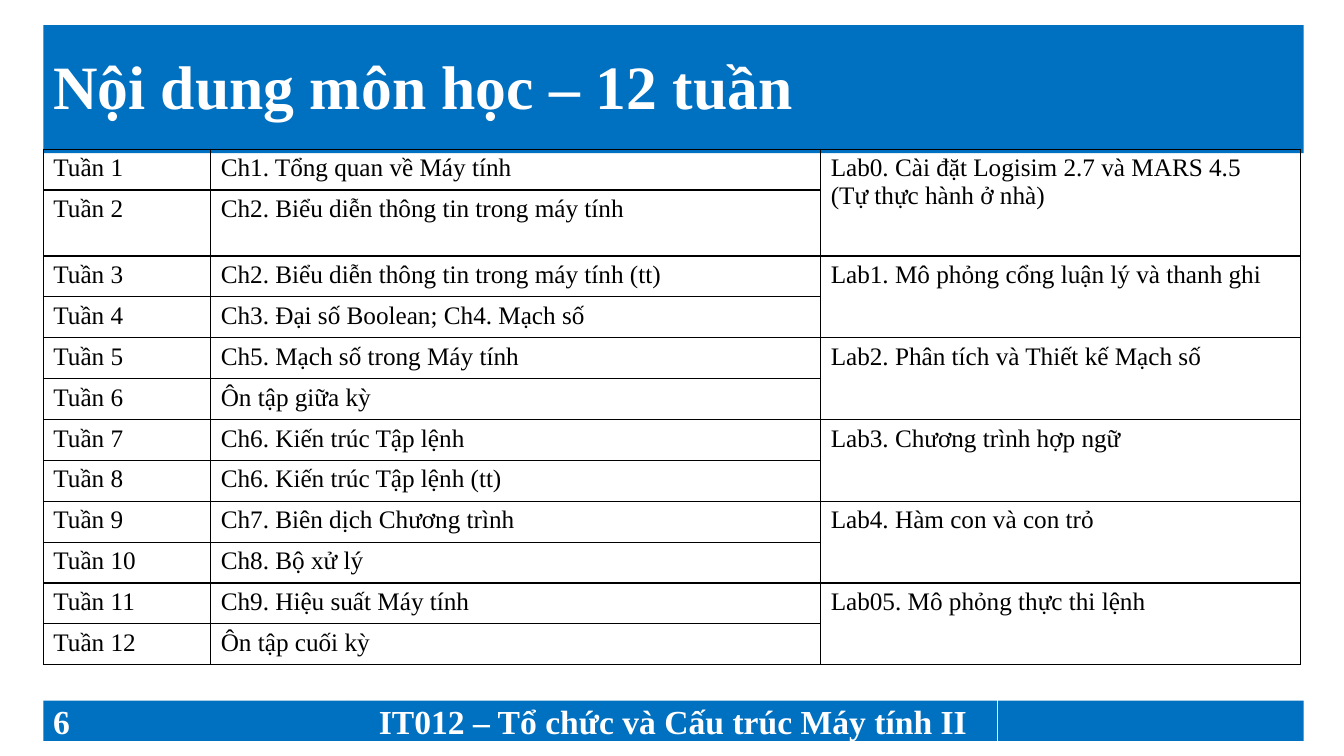
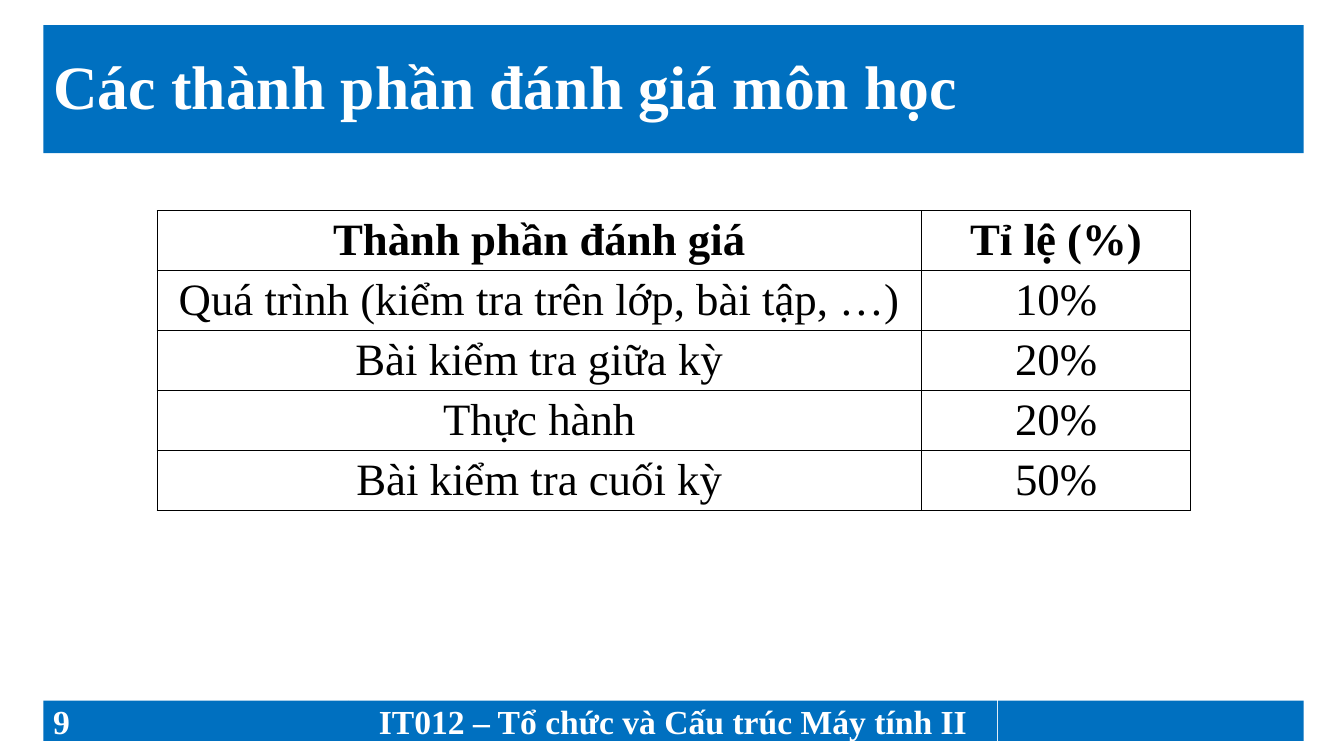
import pptx
import pptx.dml.color
import pptx.enum.shapes
import pptx.enum.text
import pptx.oxml
import pptx.oxml.ns
import pptx.util

BLUE = pptx.dml.color.RGBColor(0x00, 0x70, 0xC0)
WHITE = pptx.dml.color.RGBColor(0xFF, 0xFF, 0xFF)
BLACK = pptx.dml.color.RGBColor(0x00, 0x00, 0x00)
FONT = "Times New Roman"
LEFT = pptx.enum.text.PP_ALIGN.LEFT
CENTER = pptx.enum.text.PP_ALIGN.CENTER
Inches = pptx.util.Inches

# Shared frame, in inches
SLIDE_WIDTH, SLIDE_HEIGHT = 13.33, 7.5
MARGIN, BAND_WIDTH = 0.43, 12.5
TITLE_TOP, TITLE_HEIGHT = 0.25, 1.27
FOOTER_TOP, FOOTER_HEIGHT = 6.95, 0.4
SIDE_WIDTH, MIDDLE_WIDTH = 3.03, 6.43
COURSE = "IT012 – Tổ chức và Cấu trúc Máy tính II"

BORDER = (
    '<a:{} %s w="12700"><a:solidFill><a:srgbClr val="{}"/></a:solidFill></a:{}>'
    % pptx.oxml.ns.nsdecls("a")
)


def add_band(slide, left, top, width, height, text="", size=24, alignment=LEFT):
    band = slide.shapes.add_shape(
        pptx.enum.shapes.MSO_SHAPE.RECTANGLE,
        Inches(left), Inches(top), Inches(width), Inches(height))
    band.shadow.inherit = False
    band.fill.solid()
    band.fill.fore_color.rgb = BLUE
    band.line.fill.background()
    band.text_frame.vertical_anchor = pptx.enum.text.MSO_ANCHOR.MIDDLE
    paragraph = band.text_frame.paragraphs[0]
    paragraph.alignment = alignment
    if text:
        paragraph.text = text
        paragraph.font.name = FONT
        paragraph.font.size = pptx.util.Pt(size)
        paragraph.font.bold = True
        paragraph.font.color.rgb = WHITE
    return band


def add_grid(slide, left, top, widths, height, rows, size, alignment, bold_rows=0):
    table = slide.shapes.add_table(
        len(rows), len(widths),
        Inches(left), Inches(top), Inches(sum(widths)), Inches(height)).table
    table.first_row = False
    table.horz_banding = False
    for column, width in zip(table.columns, widths):
        column.width = Inches(width)
    for row_index, row in enumerate(rows):
        for column_index, text in enumerate(row):
            cell = table.cell(row_index, column_index)
            properties = cell._tc.get_or_add_tcPr()
            for side in ("lnL", "lnR", "lnT", "lnB"):
                properties.append(pptx.oxml.parse_xml(BORDER.format(side, BLACK, side)))
            cell.fill.background()
            cell.text = text
            for paragraph in cell.text_frame.paragraphs:
                paragraph.alignment = alignment
                paragraph.font.name = FONT
                paragraph.font.size = pptx.util.Pt(size)
                paragraph.font.bold = row_index < bold_rows
                paragraph.font.color.rgb = BLACK
    return table


presentation = pptx.Presentation()
presentation.slide_width = Inches(SLIDE_WIDTH)
presentation.slide_height = Inches(SLIDE_HEIGHT)

# Title band and three-part footer on every slide
slides = []
for number, title in (("6", "Nội dung môn học – 12 tuần"),
                      ("9", "Các thành phần đánh giá môn học")):
    slide = presentation.slides.add_slide(presentation.slide_layouts[6])
    title_band = add_band(slide, MARGIN, TITLE_TOP, BAND_WIDTH, TITLE_HEIGHT, title, 44)
    title_band.text_frame.paragraphs[0].line_spacing = 0.9
    add_band(slide, MARGIN, FOOTER_TOP, SIDE_WIDTH, FOOTER_HEIGHT, number)
    add_band(slide, MARGIN + SIDE_WIDTH, FOOTER_TOP, MIDDLE_WIDTH, FOOTER_HEIGHT,
             COURSE, alignment=CENTER)
    add_band(slide, MARGIN + BAND_WIDTH - SIDE_WIDTH, FOOTER_TOP, SIDE_WIDTH, FOOTER_HEIGHT)
    slides.append(slide)
schedule_slide, grading_slide = slides

# Weekly schedule: one topic a week, one lab every two weeks
topics = [
    "Ch1. Tổng quan về Máy tính",
    "Ch2. Biểu diễn thông tin trong máy tính",
    "Ch2. Biểu diễn thông tin trong máy tính (tt)",
    "Ch3. Đại số Boolean; Ch4. Mạch số",
    "Ch5. Mạch số trong Máy tính",
    "Ôn tập giữa kỳ",
    "Ch6. Kiến trúc Tập lệnh",
    "Ch6. Kiến trúc Tập lệnh (tt)",
    "Ch7. Biên dịch Chương trình",
    "Ch8. Bộ xử lý",
    "Ch9. Hiệu suất Máy tính",
    "Ôn tập cuối kỳ",
]
labs = [
    "Lab0. Cài đặt Logisim 2.7 và MARS 4.5\n(Tự thực hành ở nhà)",
    "Lab1. Mô phỏng cổng luận lý và thanh ghi",
    "Lab2. Phân tích và Thiết kế Mạch số",
    "Lab3. Chương trình hợp ngữ",
    "Lab4. Hàm con và con trỏ",
    "Lab05. Mô phỏng thực thi lệnh",
]
weeks = [(f"Tuần {index + 1}", topic, "" if index % 2 else labs[index // 2])
         for index, topic in enumerate(topics)]
schedule = add_grid(schedule_slide, MARGIN, 1.48, (1.66, 6.05, 4.76), 4.87, weeks, 18, LEFT)
for first in range(0, len(weeks), 2):
    schedule.cell(first, 2).merge(schedule.cell(first + 1, 2))

# Grading components
components = [
    ("Thành phần đánh giá", "Tỉ lệ (%)"),
    ("Quá trình (kiểm tra trên lớp, bài tập, …)", "10%"),
    ("Bài kiểm tra giữa kỳ", "20%"),
    ("Thực hành", "20%"),
    ("Bài kiểm tra cuối kỳ", "50%"),
]
add_grid(grading_slide, 1.56, 2.09, (7.58, 2.67), 2.97, components, 32, CENTER, bold_rows=1)

presentation.save("out.pptx")
